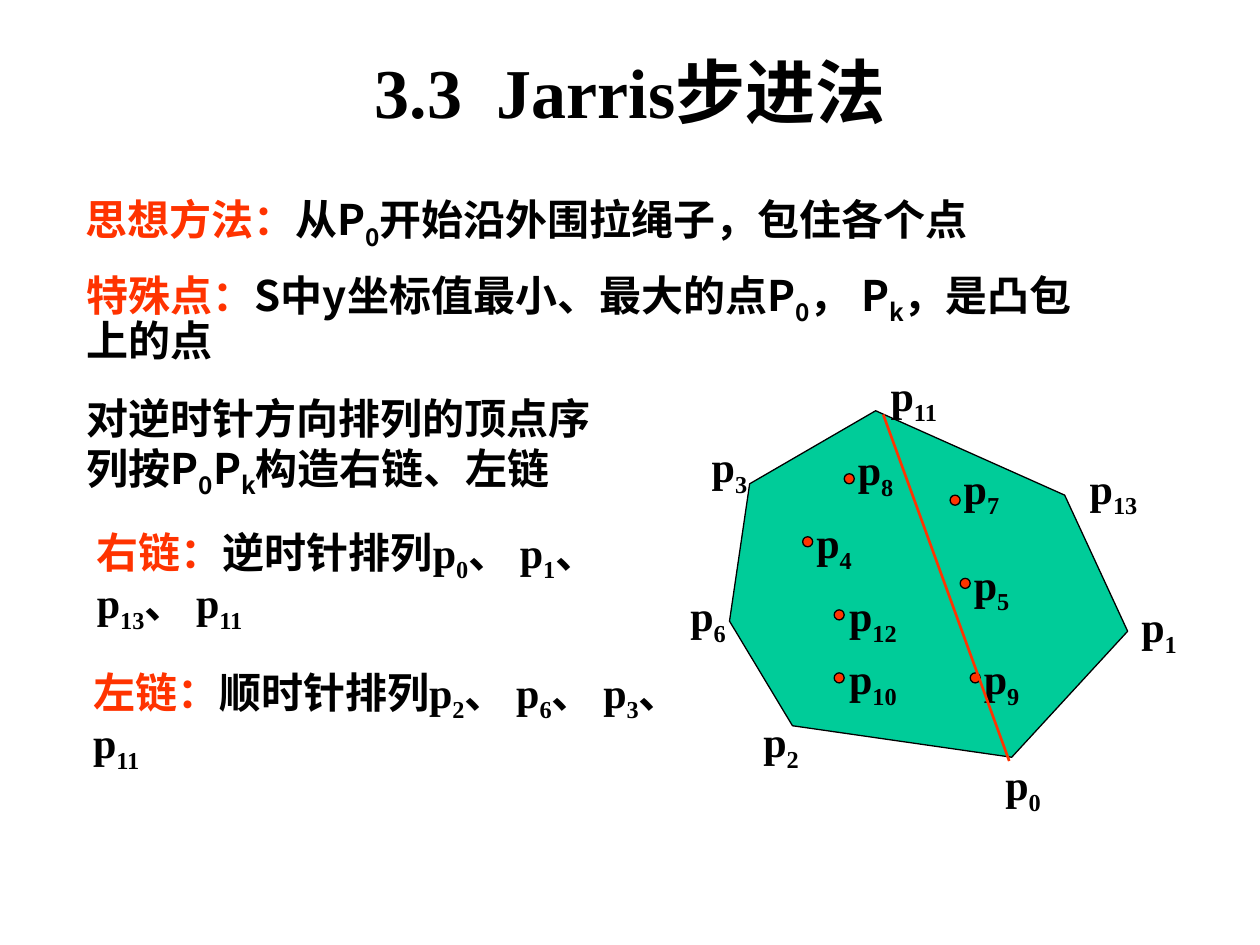
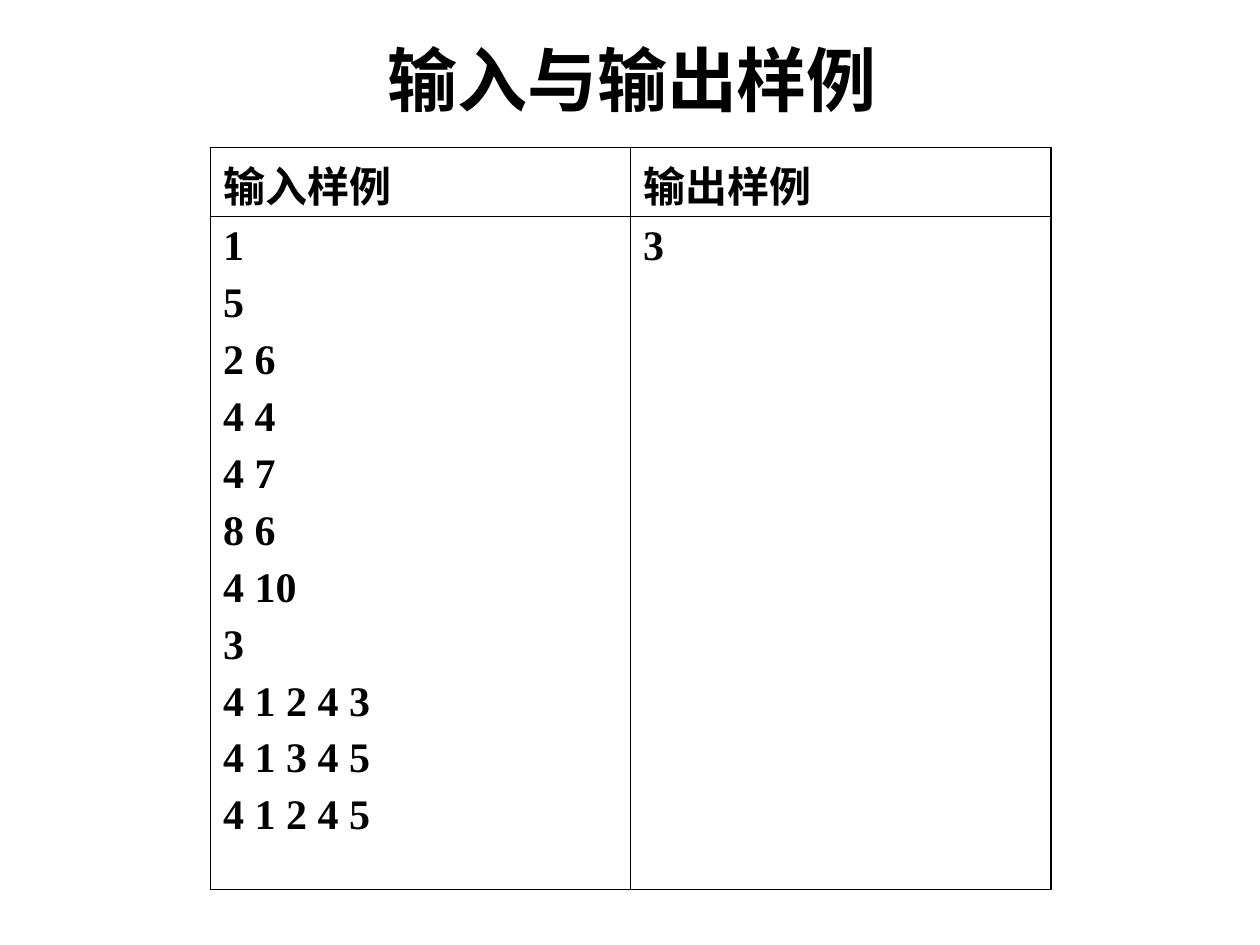
from typing import NamedTuple, Optional

from lxml import etree
from pptx import Presentation
from pptx.dml.color import RGBColor
from pptx.enum.shapes import MSO_CONNECTOR as Connector, MSO_SHAPE as Preset
from pptx.enum.text import MSO_ANCHOR as Anchor, PP_ALIGN as Align
from pptx.oxml.ns import qn
from pptx.util import Inches, Pt

SERIF = "Times New Roman"
SANS = "Noto Sans CJK SC"
BLACK, WHITE, ACCENT, HULL_GREEN = "000000", "FFFFFF", "FF3300", "00CC99"
TITLE_SIZE, BODY_SIZE = 40, 24
TIGHT = 0.88
OUTER, INNER = 1.08, 0.45
DOT_SIZE = 0.08


class Box(NamedTuple):
    left: float
    top: float
    width: float
    height: float

    def lengths(self) -> list:
        return [Inches(value) for value in self]


class Statement(NamedTuple):
    box: Box
    lead: str
    text: str
    latin: str = SANS


class Point(NamedTuple):
    number: int
    left: float
    top: float
    dot: Optional[tuple] = None


STATEMENTS = [
    Statement(Box(0.58, 1.5, 8.92, 0.67), "思想方法：", "从P|0|开始沿外围拉绳子，包住各个点"),
    Statement(Box(0.59, 2.1, 8.1, 0.96), "特殊点：",
              "S中y坐标值最小、最大的点P|0|， P|k|，是凸包上的点"),
    Statement(Box(0.59, 3.12, 4.42, 0.96), "", "对逆时针方向排列的顶点序列按P|0|P|k|构造右链、左链"),
    Statement(Box(0.67, 4.14, 4.67, 1.01), "右链：",
              "逆时针排列p|0|、 p|1|、 p|13|、 p|11", SERIF),
    Statement(Box(0.64, 5.25, 4.92, 1.01), "左链：",
              "顺时针排列p|2|、 p|6|、 p|3|、 p|11", SERIF),
]
HULL = [(6.95, 3.26), (5.95, 3.84), (5.79, 4.93), (6.29, 5.76),
        (8.03, 6.01), (8.95, 5.01), (8.45, 3.93)]
CHAIN_DIVIDER = ((8.01, 6.04), (7.01, 3.29))
POINTS = [
    Point(3, 5.55, 3.41), Point(6, 5.38, 4.59), Point(2, 5.96, 5.59),
    Point(0, 7.88, 5.93), Point(13, 8.55, 3.58), Point(1, 8.96, 4.68),
    Point(11, 6.97, 2.84),
    Point(8, 6.71, 3.43, (6.7, 3.76)), Point(4, 6.38, 4.01, (6.37, 4.26)),
    Point(5, 7.63, 4.34, (7.62, 4.59)), Point(12, 6.64, 4.59, (6.62, 4.84)),
    Point(9, 7.71, 5.09, (7.7, 5.34)), Point(10, 6.64, 5.09, (6.62, 5.34)),
    Point(7, 7.55, 3.58, (7.54, 3.93)),
]
SAMPLE_BOX = Box(1.67, 1.17, 6.67, 5.88)
SAMPLE_ROW_HEIGHTS = (0.55, 5.34)
SAMPLES = [
    [["输入样例"], ["输出样例"]],
    [["1", "5", "2 6", "4 4", "4 7", "8 6", "4 10", "3",
      "4 1 2 4 3", "4 1 3 4 5", "4 1 2 4 5"], ["3"]],
]


def rgb(value: str) -> RGBColor:
    return RGBColor.from_string(value)


def set_attributes(target, values: dict) -> None:
    for name, value in values.items():
        setattr(target, name, value)


def add_run(paragraph, text: str, size: int = BODY_SIZE, color: str = BLACK,
            latin: str = SERIF, **marks: str) -> None:
    """Append a bold run; marks are raw run attributes such as baseline."""
    run = paragraph.add_run()
    run.text = text
    set_attributes(run.font, {"name": latin, "size": Pt(size), "bold": True})
    run.font.color.rgb = rgb(color)
    properties = run._r.get_or_add_rPr()
    etree.SubElement(properties, qn("a:ea")).set("typeface", SANS)
    for name, value in marks.items():
        properties.set(name, value)


def add_subscripted(paragraph, text: str, latin: str) -> None:
    """Every second part between bars is a subscript."""
    for index, part in enumerate(text.split("|")):
        marks = {"baseline": "-25000"} if index % 2 else {}
        if part:
            add_run(paragraph, part, latin=latin, **marks)


def add_text_box(shapes, box: Box, wrap: bool = True, top_inset: float = 0.05):
    """Return the first paragraph of a new text box."""
    frame = shapes.add_textbox(*box.lengths()).text_frame
    set_attributes(frame, {
        "word_wrap": wrap, "vertical_anchor": Anchor.TOP,
        "margin_left": Inches(0.1), "margin_right": Inches(0.1),
        "margin_top": Inches(top_inset), "margin_bottom": Inches(0.05),
    })
    return frame.paragraphs[0]


def add_title(slide, left: float, top: float, *parts: tuple) -> None:
    """Each part is a text and a dict of run marks."""
    paragraph = add_text_box(slide.shapes, Box(left, top, 8.5, 0.83))
    set_attributes(paragraph, {"alignment": Align.CENTER, "line_spacing": TIGHT})
    for text, marks in parts:
        add_run(paragraph, text, TITLE_SIZE, **marks)


def add_statement(slide, statement: Statement) -> None:
    paragraph = add_text_box(slide.shapes, statement.box)
    paragraph.line_spacing = TIGHT
    if statement.lead:
        add_run(paragraph, statement.lead, color=ACCENT, latin=statement.latin)
    add_subscripted(paragraph, statement.text, statement.latin)


def paint(shape, fill: str) -> None:
    shape.shadow.inherit = False
    shape.fill.solid()
    shape.fill.fore_color.rgb = rgb(fill)
    shape.line.color.rgb = rgb(BLACK)
    shape.line.width = Pt(0.75)


def add_hull(shapes) -> None:
    start, *others = [(Inches(x), Inches(y)) for x, y in HULL]
    builder = shapes.build_freeform(*start)
    builder.add_line_segments(others, close=True)
    paint(builder.convert_to_shape(), HULL_GREEN)


def add_point(shapes, point: Point) -> None:
    width = 0.58 if point.number > 9 else 0.48
    label_box = Box(point.left, point.top, width, 0.56)
    label = add_text_box(shapes, label_box, wrap=False, top_inset=0.09)
    add_subscripted(label, f"p|{point.number}", SERIF)
    if point.dot:
        dot_box = Box(*point.dot, DOT_SIZE, DOT_SIZE)
        paint(shapes.add_shape(Preset.FLOWCHART_CONNECTOR, *dot_box.lengths()), ACCENT)


def add_chain_divider(slide) -> None:
    ends = [Inches(value) for end in CHAIN_DIVIDER for value in end]
    divider = slide.shapes.add_connector(Connector.STRAIGHT, *ends)
    divider.line.color.rgb = rgb(ACCENT)
    divider.line.width = Pt(1.5)
    etree.SubElement(divider._element.spPr, qn("a:effectLst"))


def set_borders(cell, widths: dict) -> None:
    properties = cell._tc.get_or_add_tcPr()
    for side, width in widths.items():
        line = etree.SubElement(properties, qn(f"a:ln{side}"), w=str(Pt(width)))
        solid = etree.SubElement(line, qn("a:solidFill"))
        etree.SubElement(solid, qn("a:srgbClr"), val=BLACK)


def add_samples(slide) -> None:
    rows, columns = len(SAMPLES), len(SAMPLES[0])
    table = slide.shapes.add_table(rows, columns, *SAMPLE_BOX.lengths()).table
    set_attributes(table, {"first_row": False, "horz_banding": False})
    for row, height in zip(table.rows, SAMPLE_ROW_HEIGHTS):
        row.height = Inches(height)
    for r, row_samples in enumerate(SAMPLES):
        for c, lines in enumerate(row_samples):
            cell = table.cell(r, c)
            set_borders(cell, {
                "L": INNER if c else OUTER,
                "R": OUTER if c == columns - 1 else INNER,
                "T": INNER if r else OUTER,
                "B": OUTER if r == rows - 1 else INNER,
            })
            cell.fill.solid()
            cell.fill.fore_color.rgb = rgb(WHITE)
            frame = cell.text_frame
            for index, line in enumerate(lines):
                paragraph = frame.add_paragraph() if index else frame.paragraphs[0]
                paragraph.space_before = Pt(6)
                add_run(paragraph, line, latin=SERIF if r else SANS)


def build_march_slide(slide) -> None:
    add_title(slide, 0.75, 0.42, ("3.3", {}), (" ", {"spc": "1000"}), ("Jarris步进法", {}))
    for statement in STATEMENTS:
        add_statement(slide, statement)
    diagram = slide.shapes.add_group_shape().shapes
    add_hull(diagram)
    for point in POINTS:
        add_point(diagram, point)
    add_chain_divider(slide)


def build_samples_slide(slide) -> None:
    add_title(slide, 0.83, 0.33, ("输入与输出样例 ", {}))
    add_samples(slide)


def main() -> None:
    deck = Presentation()
    deck.slide_width, deck.slide_height = Inches(10), Inches(7.5)
    blank = deck.slide_layouts[6]
    for build in (build_march_slide, build_samples_slide):
        build(deck.slides.add_slide(blank))
    deck.save("out.pptx")


if __name__ == "__main__":
    main()
